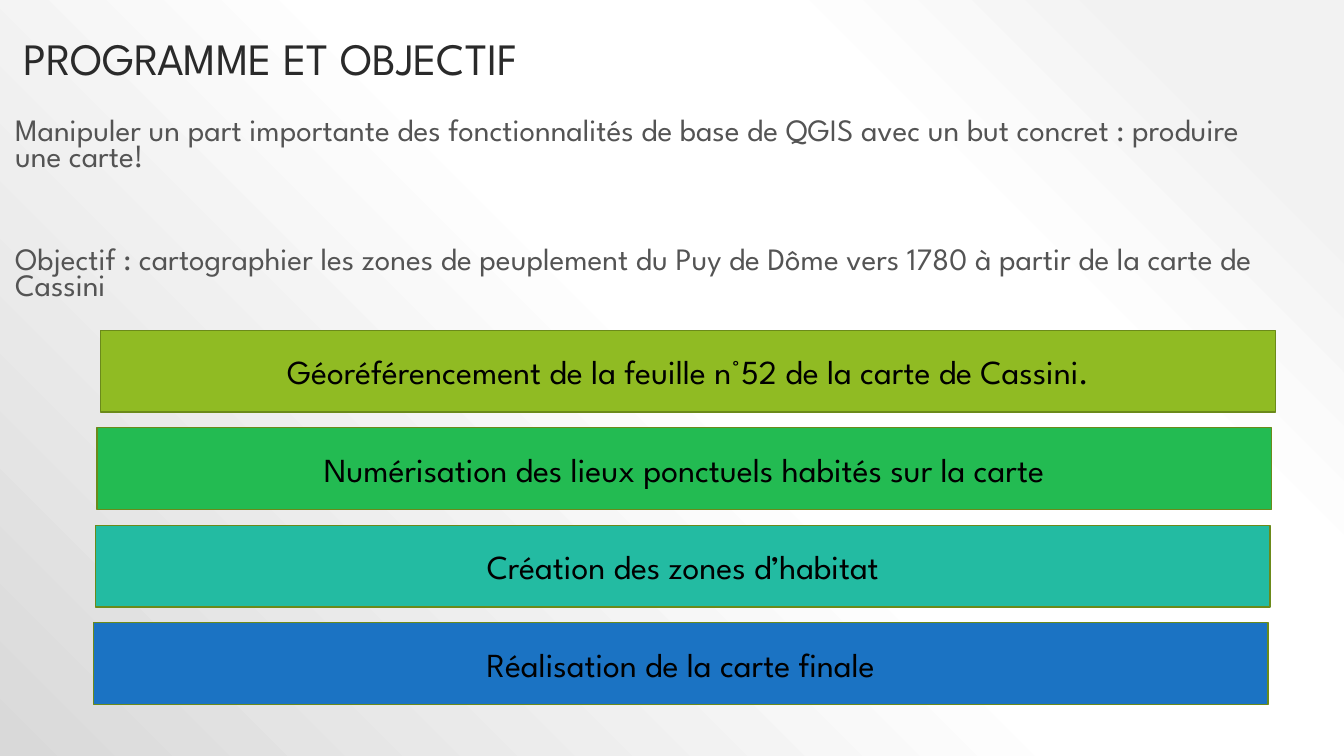
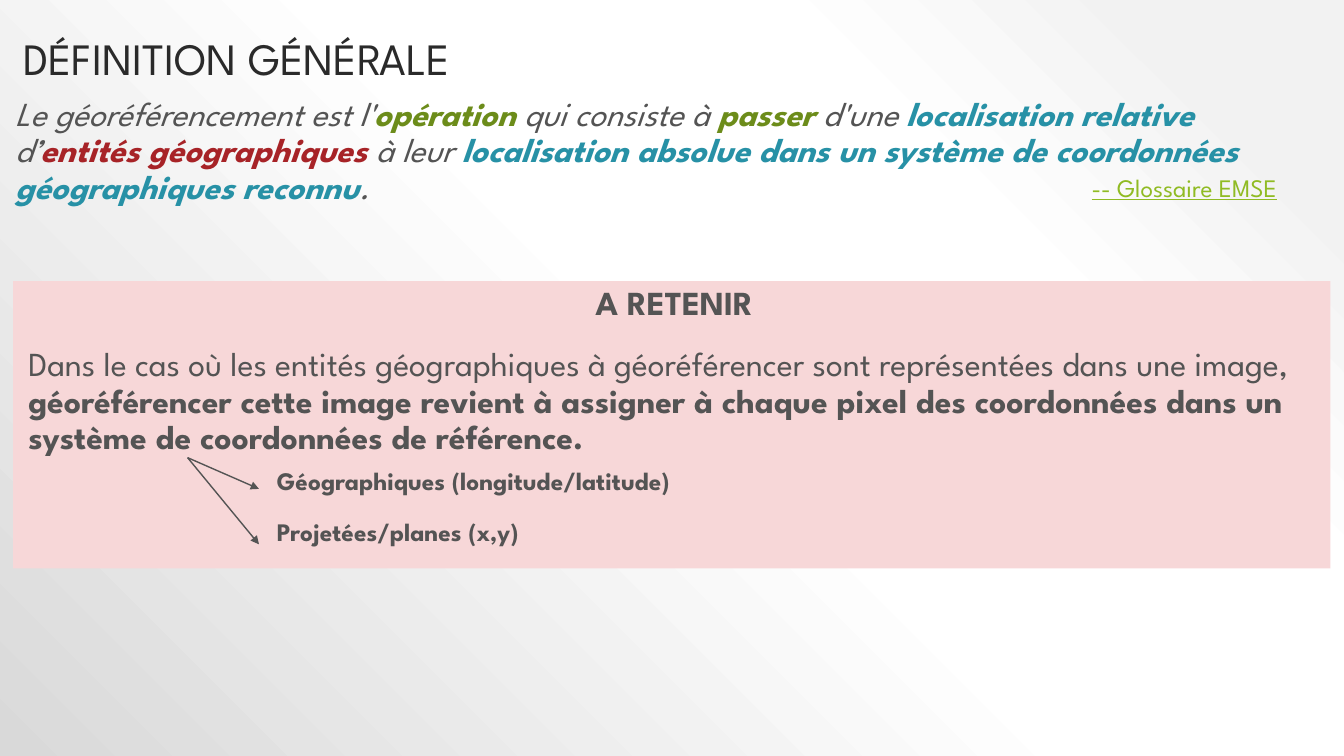
from lxml.etree import SubElement
from pptx import Presentation
from pptx.dml.color import RGBColor
from pptx.enum.shapes import MSO_CONNECTOR, MSO_SHAPE
from pptx.enum.text import MSO_ANCHOR, PP_ALIGN
from pptx.oxml import parse_xml
from pptx.oxml.ns import nsdecls, qn
from pptx.util import Pt

FONT = "League Spartan"
COLORS = {
    "title": "2A2A2A", "text": "545454", "black": "000000",
    "lime": "90BB23", "green": "23BB52", "teal": "23BBA2", "blue": "1B73C3",
    "olive": "6B8A1A", "action": "6C8C1A", "location": "2791A6",
    "entity": "A72327", "pink": "F7D7D8",
}
BACKGROUND_STOPS = [(10, "F2F2F2"), (28, "FFFFFF"), (48, "FFFFFF"), (100, "D9D9D9")]
INDENTED = 10.8  # left inset of body text


def rgb(name):
    return RGBColor.from_string(COLORS[name])


def set_background(master):
    """Radial gradient spreading from the top right corner."""
    master.background.fill.gradient()
    stops = "".join(
        f'<a:gs pos="{pos * 1000}"><a:srgbClr val="{color}"/></a:gs>'
        for pos, color in BACKGROUND_STOPS)
    gradient = parse_xml(
        f'<a:gradFill {nsdecls("a")} rotWithShape="1"><a:gsLst>{stops}</a:gsLst>'
        '<a:path path="circle"><a:fillToRect l="100000" b="100000"/></a:path>'
        '</a:gradFill>')
    old = master.element.find(".//" + qn("a:gradFill"))
    old.getparent().replace(old, gradient)


def add_run(p, text, size, color="text", bold=False, italic=False, underline=False):
    r = p.add_run()
    r.text = text
    font = r.font
    font.name, font.size, font.color.rgb = FONT, Pt(size), rgb(color)
    font.bold, font.italic, font.underline = bold, italic, underline


def add_paragraph(tf, runs, size, first=True, align=PP_ALIGN.LEFT,
                  spacing=1.0, before=0, **style):
    """Runs are (text, overrides of the paragraph's style)."""
    p = tf.paragraphs[0] if first else tf.add_paragraph()
    p.alignment, p.line_spacing = align, spacing
    p.space_before = Pt(before)
    for text, changes in runs:
        add_run(p, text, size, **{**style, **changes})


def add_textbox(s, left, top, width, height, inset=7.2):
    tf = s.shapes.add_textbox(Pt(left), Pt(top), Pt(width), Pt(height)).text_frame
    tf.word_wrap = True
    tf.margin_left = Pt(inset)
    return tf


def add_label(s, text, left, top, width, **style):
    add_paragraph(add_textbox(s, left, top, width, 29), [(text, {})], 18, **style)


def add_rectangle(s, left, top, width, height, fill, line=None):
    sp = s.shapes.add_shape(
        MSO_SHAPE.RECTANGLE, Pt(left), Pt(top), Pt(width), Pt(height))
    sp.shadow.inherit = False
    sp.fill.solid()
    sp.fill.fore_color.rgb = rgb(fill)
    if line:
        sp.line.color.rgb, sp.line.width = rgb(line), Pt(1)
    else:
        sp.line.fill.background()
    sp.text_frame.word_wrap = True
    return sp.text_frame


def add_arrow(s, x1, y1, x2, y2):
    line = s.shapes.add_connector(
        MSO_CONNECTOR.STRAIGHT, Pt(x1), Pt(y1), Pt(x2), Pt(y2))
    line.line.color.rgb, line.line.width = rgb("text"), Pt(1)
    SubElement(line.line._get_or_add_ln(), qn("a:tailEnd"), type="triangle")
    SubElement(line._element.spPr, qn("a:effectLst"))


def add_titled_slide(prs, title):
    s = prs.slides.add_slide(prs.slide_layouts[6])
    tf = add_textbox(s, 9.4, 15, 924.5, 49.7)
    tf.vertical_anchor = MSO_ANCHOR.BOTTOM
    add_paragraph(tf, [(title, {})], 32, spacing=0.9, color="title")
    return s


def build_programme(prs):
    s = add_titled_slide(prs, "PROGRAMME ET OBJECTIF")
    tf = add_textbox(s, 0, 82.8, 924.5, 142, INDENTED)
    add_paragraph(tf, [("Manipuler un part importante des fonctionnalités de base de "
                        "QGIS avec un but concret : produire une carte!", {})],
                  22.2, spacing=0.7)
    add_paragraph(tf, [("Objectif : cartographier les zones de peuplement du Puy de "
                        "Dôme vers 1780 à partir de la carte de Cassini", {})],
                  22.2, first=False, spacing=0.7, before=54.7)
    steps = [
        ("Géoréférencement de la feuille n°52 de la carte de Cassini.", "lime", 72),
        ("Numérisation des lieux ponctuels habités sur la carte", "green", 69.2),
        ("Création des zones d’habitat", "teal", 68.3),
        ("Réalisation de la carte finale", "blue", 66.8),
    ]
    for i, (text, fill, left) in enumerate(steps):
        tf = add_rectangle(s, left, 236 + 69.6 * i, 839, 58.4, fill, "olive")
        tf.vertical_anchor = MSO_ANCHOR.MIDDLE
        add_paragraph(tf, [(text, {})], 24, align=PP_ALIGN.CENTER, color="black")


def build_definition(prs):
    s = add_titled_slide(prs, "DÉFINITION GÉNÉRALE")
    action, location, entity = (
        {"color": name, "bold": True} for name in ("action", "location", "entity"))
    tf = add_textbox(s, 0, 66.2, 911, 85, INDENTED)
    add_paragraph(tf, [
        ("Le géoréférencement est l'", {}),
        ("opération", action),
        (" qui consiste à ", {}),
        ("passer", action),
        (" d'une ", {}),
        ("localisation relative ", location),
        ("d’", {}),
        ("entités géographiques ", entity),
        ("à leur ", {}),
        ("localisation absolue dans un système de coordonnées géographiques reconnu",
         location),
        (".", {}),
    ], 24, spacing=0.9, italic=True)
    add_label(s, "-- Glossaire EMSE", 772.6, 119.5, 170, color="lime", underline=True)

    tf = add_rectangle(s, 9.4, 200.9, 941, 205.2, "pink")
    tf.vertical_anchor = MSO_ANCHOR.TOP
    tf.margin_left = Pt(INDENTED)
    add_paragraph(tf, [("A RETENIR", {})], 24, align=PP_ALIGN.CENTER,
                  spacing=0.9, bold=True)
    add_paragraph(tf, [
        ("Dans le cas où les entités géographiques à géoréférencer sont représentées "
         "dans une image, ", {}),
        ("géoréférencer cette image revient à assigner à chaque pixel des coordonnées "
         "dans un système de coordonnées de référence.", {"bold": True}),
    ], 24, first=False, spacing=0.9, before=18)

    kinds = [("Géographiques (longitude/latitude)", 329, 349.2),
             ("Projetées/planes (x,y)", 365, 388.8)]
    for text, top, arrow_end in kinds:
        add_arrow(s, 134, 326.9, 185, arrow_end)
        add_label(s, text, 190.8, top, 340, bold=True)


def main():
    prs = Presentation()
    prs.slide_width, prs.slide_height = Pt(960), Pt(540)
    set_background(prs.slide_master)
    build_programme(prs)
    build_definition(prs)
    prs.save("out.pptx")


if __name__ == "__main__":
    main()
